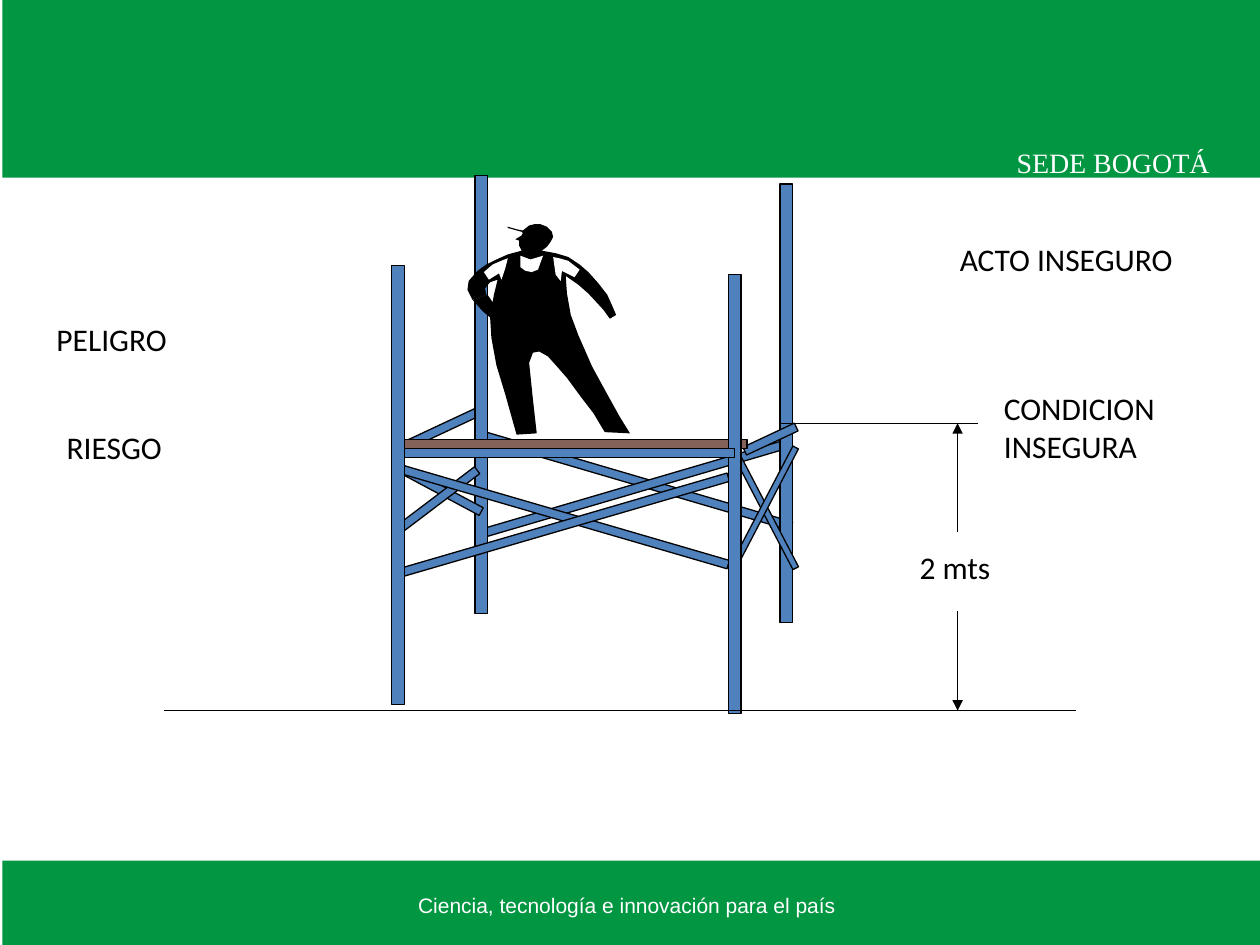
import math

import pptx
import pptx.dml.color
import pptx.enum.shapes
import pptx.enum.text
import pptx.util
from lxml import etree
from pptx.oxml.ns import qn

Pt = pptx.util.Pt
GREEN, STEEL, WOOD = "009642", "4F81BD", "856259"
BLACK, WHITE = "000000", "FFFFFF"
PAGE_WIDTH, PAGE_HEIGHT = 720, 540


def color(value):
    return pptx.dml.color.RGBColor.from_string(value)


class Sketch:
    """Holds the style and the current page; every length is in points."""

    line_width = 0.75
    font, size = "Calibri", 18
    grid = 0.72  # outlines are plotted in hundredths of an inch

    def __init__(self, page):
        self.shapes = page.shapes

    def paint(self, shape, fill, line=None):
        shape.shadow.inherit = False
        shape.fill.solid()
        shape.fill.fore_color.rgb = color(fill)
        if line:
            shape.line.color.rgb = color(line)
            shape.line.width = Pt(self.line_width)
        else:
            shape.line.fill.background()

    def rect(self, left, top, width, height, fill, line=None):
        shape = self.shapes.add_shape(
            pptx.enum.shapes.MSO_SHAPE.RECTANGLE, Pt(left), Pt(top), Pt(width), Pt(height))
        self.paint(shape, fill, line)
        return shape

    def beam(self, x1, y1, x2, y2, thickness=5, fill=STEEL):
        """A bar whose centre line runs from one point to the other."""
        length = math.hypot(x2 - x1, y2 - y1)
        left, top = (x1 + x2 - length) / 2, (y1 + y2 - thickness) / 2
        bar = self.rect(left, top, length, thickness, fill, BLACK)
        bar.rotation = math.degrees(math.atan2(y2 - y1, x2 - x1))

    def cross(self, left, right, top, bottom, drop=0, thickness=5):
        """Two crossing beams; the rising one lies lower by the drop."""
        self.beam(left, top, right, bottom, thickness)
        self.beam(left, bottom + drop, right, top + drop, thickness)

    def post(self, center, top, width=7.2, height=250.6):
        self.rect(center - width / 2, top, width, height, STEEL, BLACK)

    def line(self, x1, y1, x2, y2, arrow=False):
        connector = self.shapes.add_connector(
            pptx.enum.shapes.MSO_CONNECTOR.STRAIGHT, Pt(x1), Pt(y1), Pt(x2), Pt(y2))
        connector.line.color.rgb = color(BLACK)
        connector.line.width = Pt(self.line_width)
        properties = connector._element.spPr
        if arrow:
            etree.SubElement(properties.find(qn("a:ln")), qn("a:tailEnd"), type="triangle")
        etree.SubElement(properties, qn("a:effectLst"))

    def outline(self, points, fill):
        builder = self.shapes.build_freeform(*points[0], scale=Pt(self.grid))
        builder.add_line_segments(points[1:], close=True)
        self.paint(builder.convert_to_shape(), fill)

    def text(self, words, left, top, width, height, font=font, size=size,
             ink=BLACK, centered=False, before=11.2):
        box = self.shapes.add_textbox(Pt(left), Pt(top), Pt(width), Pt(height))
        box.text_frame.word_wrap = True
        para = box.text_frame.paragraphs[0]
        para.text = words
        para.space_before = Pt(before)
        if centered:
            para.alignment = pptx.enum.text.PP_ALIGN.CENTER
        para.font.name, para.font.size = font, Pt(size)
        para.font.color.rgb = color(ink)


def draw_bands(sketch):
    inset = 1.4
    for top, height in [(0, 101.5), (491.8, 50.4)]:
        sketch.rect(inset, top, PAGE_WIDTH, height, GREEN)
    sketch.text("Ciencia, tecnología e innovación para el país ", 0, 506.2, PAGE_WIDTH, 21.6,
                "Arial", 12, WHITE, centered=True, before=0)
    sketch.text("SEDE BOGOTÁ", 523.4, 79.9, 225.4, 26.6,
                "Times New Roman", 16, WHITE, centered=True, before=0)


def draw_scaffold(sketch):
    # Centre lines of the four posts
    front_left, front_right = 227.5, 419.8
    rear_left, rear_right = 275, 449.3
    half_post = 3.6
    front_edge = front_left + half_post
    rail_level, plank_level = 258.8, 253.8

    # Rear side, from back to front
    sketch.beam(front_left + 5, 254.4, rear_left - 2.7, 235.8)
    sketch.cross(rear_left, rear_right + 3, 248.7, 300.7, drop=4.3)
    sketch.post(rear_left, 100.1)
    sketch.post(rear_right, 105.1)
    sketch.beam(front_right + 5.8, 257.8, rear_right + 5.7, 244)

    # Plank to stand on, then the braces of the left and right sides
    sketch.beam(front_edge, plank_level, front_right + 7.1, plank_level, fill=WOOD)
    sketch.beam(front_left, 267, rear_left, 292.4)
    sketch.beam(front_left + 1.6, 301.7, rear_left - 2.3, 268.7)
    sketch.cross(front_right - 1.1, rear_right + 5.4, 255.7, 324.7, thickness=3.6)

    # Front side
    sketch.cross(front_left, front_right - half_post, 267.7, 322.7, drop=5)
    sketch.post(front_left, 151.9)
    sketch.post(front_right, 157)
    sketch.beam(front_edge, rail_level, front_right, rail_level)


def draw_height(sketch):
    ground, platform, axis = 406.1, 241.9, 547.2
    sketch.line(93.6, ground, 614.9, ground)
    sketch.line(445, platform, 558.7, platform)
    for start, end in [(349.2, ground), (303.8, platform)]:
        sketch.line(axis, start, axis, end, arrow=True)
    sketch.text("2 mts", 518.4, 309.6, 90.7, 28.8)


def draw_worker(sketch):
    # The silhouette is one closed contour, walked limb by limb
    silhouette = {
        "arm hanging, inner edge": [(453, 250), (450, 233), (449, 219), (459, 226),
                                    (467, 233), (479, 246), (484, 253)],
        "arm hanging, outer edge": [(489, 250), (486, 243), (482, 234), (475, 225),
                                    (467, 216), (460, 210), (451, 204), (441, 201),
                                    (430, 199)],
        "back of head": [(434, 196), (437, 192), (439, 188), (438, 184), (434, 180),
                         (429, 178), (424, 178), (420, 179), (415, 183)],
        "cap peak": [(410, 182), (403, 180), (403, 181), (414, 184)],
        "face": [(415, 185), (414, 187), (409, 190), (412, 191), (412, 195), (414, 199)],
        "arm on hip, outer edge": [(403, 202), (394, 206), (386, 210), (379, 215),
                                   (372, 223), (371, 230), (375, 238)],
        "arm on hip, inner edge": [(386, 234), (385, 229), (389, 224), (395, 222),
                                   (392, 234), (391, 240), (387, 234)],
        "hand on hip": [(376, 239), (383, 247), (389, 252)],
        "left leg": [(390, 268), (394, 290), (401, 313), (410, 345), (426, 344)],
        "between the legs": [(423, 317), (420, 288), (423, 280), (428, 279), (435, 283),
                             (443, 292), (450, 300), (461, 315), (471, 328), (480, 343)],
        "right leg": [(500, 344), (492, 331), (482, 313), (470, 291), (459, 266)],
    }
    contour = [point for edge in silhouette.values() for point in edge]

    # White clothing; the cap and the cuff lie behind and before the contour
    cap = [(436, 188), (435, 183), (429, 180), (425, 180), (419, 183)]
    cuff = [(386, 234), (375, 238), (376, 239), (387, 234)]
    collar = [(413, 203), (413, 212), (417, 215), (422, 216), (427, 214), (431, 203),
              (421, 206)]
    right_sleeve = [(439, 204), (441, 218), (445, 223), (446, 215), (456, 220),
                    (460, 214), (451, 207), (444, 205)]
    left_sleeve = [(403, 205), (401, 213), (398, 222), (396, 217), (388, 222),
                   (384, 216), (391, 210), (398, 207)]

    for points, fill in [(cap, WHITE), (contour, BLACK), (cuff, BLACK), (collar, WHITE),
                         (right_sleeve, WHITE), (left_sleeve, WHITE)]:
        sketch.outline(points, fill)


def draw_labels(sketch):
    one_line, two_lines = 28.8, 50.4
    for words, left, top, height in [("PELIGRO", 25.2, 179.3, one_line),
                                     ("RIESGO", 31, 241.2, one_line),
                                     ("ACTO INSEGURO", 541.4, 133.9, one_line),
                                     ("CONDICION INSEGURA", 566.6, 218.9, two_lines)]:
        sketch.text(words, left, top, 153.4, height)


def main():
    deck = pptx.Presentation()
    deck.slide_width, deck.slide_height = Pt(PAGE_WIDTH), Pt(PAGE_HEIGHT)
    sketch = Sketch(deck.slides.add_slide(deck.slide_layouts[6]))
    for draw in (draw_bands, draw_scaffold, draw_height, draw_worker, draw_labels):
        draw(sketch)
    deck.save("out.pptx")


if __name__ == "__main__":
    main()
